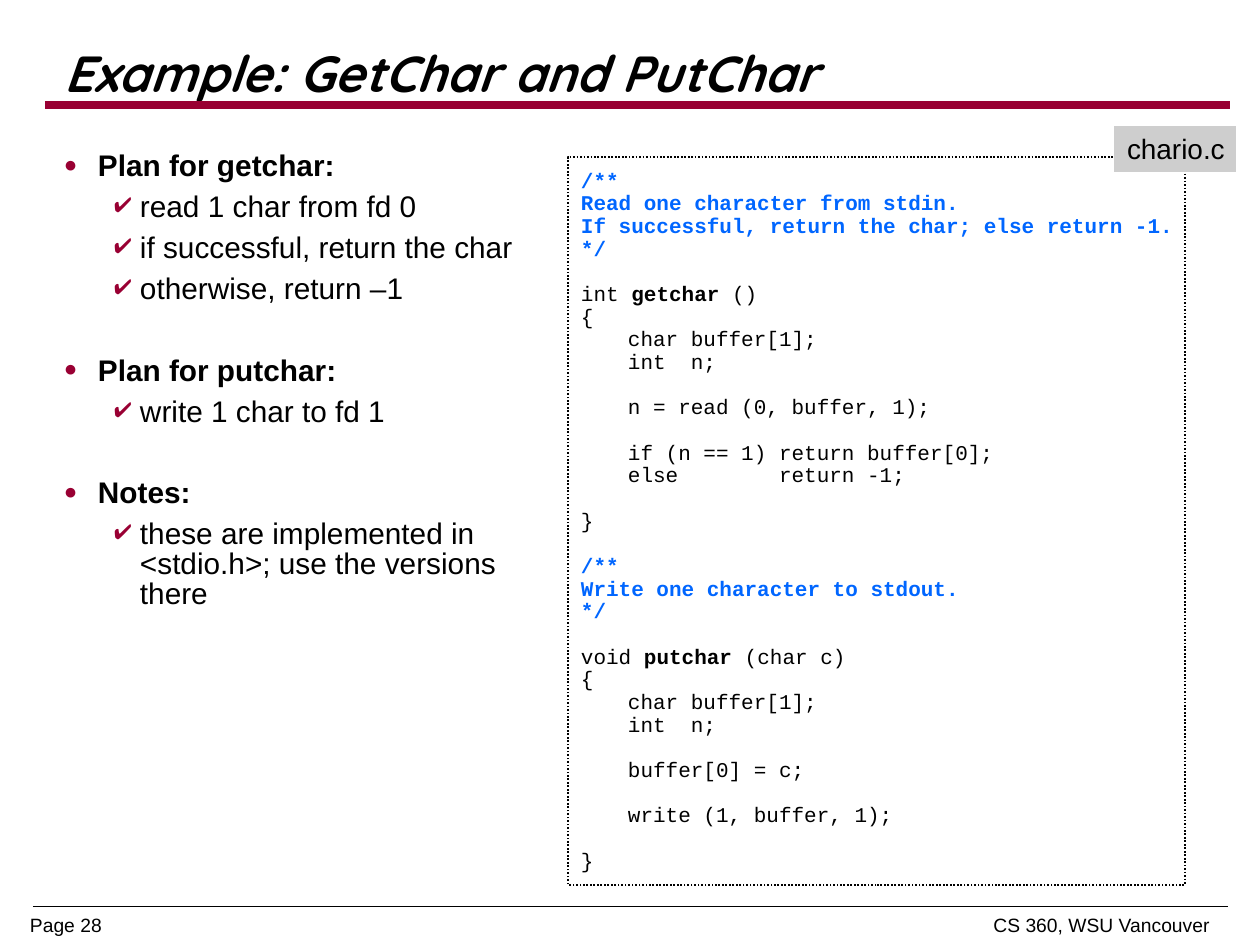
from lxml import etree
from pptx import Presentation
from pptx.dml.color import RGBColor
from pptx.enum.dml import MSO_LINE
from pptx.enum.shapes import MSO_CONNECTOR, MSO_SHAPE
from pptx.enum.text import MSO_ANCHOR, MSO_AUTO_SIZE, PP_ALIGN
from pptx.oxml.ns import qn
from pptx.util import Emu, Pt

LEFT, TOP, MIDDLE = PP_ALIGN.LEFT, MSO_ANCHOR.TOP, MSO_ANCHOR.MIDDLE
FIXED, RECT, LINE = MSO_AUTO_SIZE.NONE, MSO_SHAPE.RECTANGLE, MSO_CONNECTOR.STRAIGHT
DOTS = MSO_LINE.ROUND_DOT
BLACK, WHITE, GREY = "000000", "FFFFFF", "CECECE"
RED, BLUE = "990033", "0066FF"
SANS, MONO, HEAD = "Arial", "Courier New", "Quicksand"

PLANS = [
    ("Plan for getchar:", ["read 1 char from fd 0", "if successful, return the char",
                           "otherwise, return –1"]),
    ("Plan for putchar:", ["write 1 char to fd 1"]),
    ("Notes:", ["these are implemented in <stdio.h>; use the versions there"]),
]
VARS = [["\tchar buffer[1];"], ["\tint  n;"]]
CODE = [
    (BLUE, [["/**"], ["Read one character from stdin."],
            ["If successful, return the char; else return -1."], ["*/"]]),
    (BLACK, [["int ", "getchar", " ()"], ["{"], *VARS]),
    (BLACK, [["\tn = read (0, buffer, 1);"]]),
    (BLACK, [["\tif (n == 1) return buffer[0];"], ["\telse        return -1;"]]),
    (BLACK, [["}"]]),
    (BLUE, [["/**"], ["Write one character to stdout."], ["*/"]]),
    (BLACK, [["void ", "putchar", " (char c)"], ["{"], *VARS]),
    (BLACK, [["\tbuffer[0] = c;"]]),
    (BLACK, [["\twrite (1, buffer, 1);"]]),
    (BLACK, [["}"]]),
]


def px(n):
    """Turn pixels into EMU."""
    return Emu(round(n * 914400 / 126))


def color(text):
    """Turn a hex string into a colour."""
    return RGBColor.from_string(text)


def place(shape, x, y, w, h):
    """Move and size a shape."""
    shape.left, shape.top, shape.width, shape.height = map(px, (x, y, w, h))


def setup(shape, side, edge, wrap=True, anchor=TOP):
    """Set margins, wrapping and anchor, and return the text frame."""
    frame = shape.text_frame
    frame.auto_size, frame.word_wrap = FIXED, wrap
    frame.vertical_anchor = anchor
    frame.margin_left = frame.margin_right = px(side)
    frame.margin_top = frame.margin_bottom = px(edge)
    return frame


def add_par(frame, gap=0, pitch=1.0):
    """Return a new left-aligned paragraph, using the first one if it is empty."""
    par = frame.paragraphs[0]
    if par.runs:
        par = frame.add_paragraph()
    par.alignment, par.line_spacing = LEFT, pitch
    par.space_before, par.space_after = Pt(gap), Pt(0)
    return par


def add_run(par, text, size, face=SANS, hue=BLACK, bold=False, slant=False):
    """Add one formatted run."""
    run = par.add_run()
    run.text = text
    font = run.font
    font.name, font.size, font.bold, font.italic = face, Pt(size), bold, slant
    font.color.rgb = color(hue)


def add_tab(par, stop, side):
    """Give a paragraph one tab stop."""
    tabs = etree.SubElement(par._p.get_or_add_pPr(), qn("a:tabLst"))
    etree.SubElement(tabs, qn("a:tab"), pos=str(px(stop)), algn=side)


def add_mark(par, sign, ratio, margin, hang):
    """Give a paragraph a red bullet and a hanging indent."""
    props = par._p.get_or_add_pPr()
    props.set("marL", str(px(margin)))
    props.set("indent", str(-px(hang)))
    hue = etree.SubElement(props, qn("a:buClr"))
    etree.SubElement(hue, qn("a:srgbClr"), val=RED)
    etree.SubElement(props, qn("a:buSzPct"), val=str(ratio * 1000))
    etree.SubElement(props, qn("a:buFont"), typeface=SANS)
    etree.SubElement(props, qn("a:buChar"), char=sign)


def add_rule(slide, x, y, end, hue, width):
    """Draw a level line."""
    rule = slide.shapes.add_connector(LINE, px(x), px(y), px(end), px(y))
    rule.line.color.rgb = color(hue)
    rule.line.width = Pt(width)
    etree.SubElement(rule._element.spPr, qn("a:effectLst"))


def add_box(slide, x, y, w, h, fill):
    """Draw a plain filled box."""
    box = slide.shapes.add_shape(RECT, px(x), px(y), px(w), px(h))
    box.shadow.inherit = False
    box.fill.solid()
    box.fill.fore_color.rgb = color(fill)
    box.line.fill.background()
    return box


def add_foot(slide):
    """Write the page number and the course name."""
    box = slide.shapes.add_textbox(px(30), px(915), px(1183), px(30))
    par = add_par(setup(box, 0, 0), pitch=0.96)
    add_tab(par, 1180, "r")
    add_run(par, "Page 28\tCS 360, WSU Vancouver", 11)


def fill_title(title):
    """Write the heading."""
    place(title, 53, 39, 1206, 76)
    par = add_par(setup(title, 11, 6, anchor=MIDDLE), pitch=0.87)
    add_run(par, "Example: GetChar and PutChar", 29, HEAD, bold=True, slant=True)


def fill_plans(body):
    """Write the plans as a list of two levels."""
    place(body, 53, 147, 483, 510)
    frame = setup(body, 11, 6)
    for i, (head, steps) in enumerate(PLANS):
        par = add_par(frame, 29.8 if i else 6.4, 0.83)
        add_mark(par, "●", 75, 34, 34)
        add_run(par, head, 17, bold=True)
        for step in steps:
            par = add_par(frame, 6.4, 0.83)
            par.level = 1
            add_mark(par, "✔", 70, 76, 26)
            add_run(par, step, 17)


def add_code(slide):
    """Draw the dotted box with the code listing."""
    box = add_box(slide, 568, 157, 617, 728, WHITE)
    box.line.color.rgb = color(BLACK)
    box.line.width, box.line.dash_style = Pt(1), DOTS
    frame = setup(box, 13, 13, False)
    for i, (hue, lines) in enumerate(CODE):
        for j, parts in enumerate(lines):
            par = add_par(frame, 12.95 if i and not j else 0, 0.9)
            add_tab(par, 47, "l")
            for k, part in enumerate(parts):
                add_run(par, part, 12, MONO, hue, hue == BLUE or k == 1)


def add_label(slide):
    """Draw the file name label."""
    box = add_box(slide, 1114, 126, 122, 46, GREY)
    add_run(add_par(setup(box, 13, 6, False)), "chario.c", 16)


def main():
    """Build and save the slide."""
    deck = Presentation()
    deck.slide_width, deck.slide_height = px(1260), px(945)
    slide = deck.slides.add_slide(deck.slide_layouts[1])
    add_foot(slide)
    add_rule(slide, 33, 906, 1228, BLACK, 0.25)
    add_rule(slide, 45, 105, 1230, RED, 4.5)
    fill_title(slide.shapes.title)
    fill_plans(slide.placeholders[1])
    add_code(slide)
    add_label(slide)
    deck.save("out.pptx")


if __name__ == "__main__":
    main()
